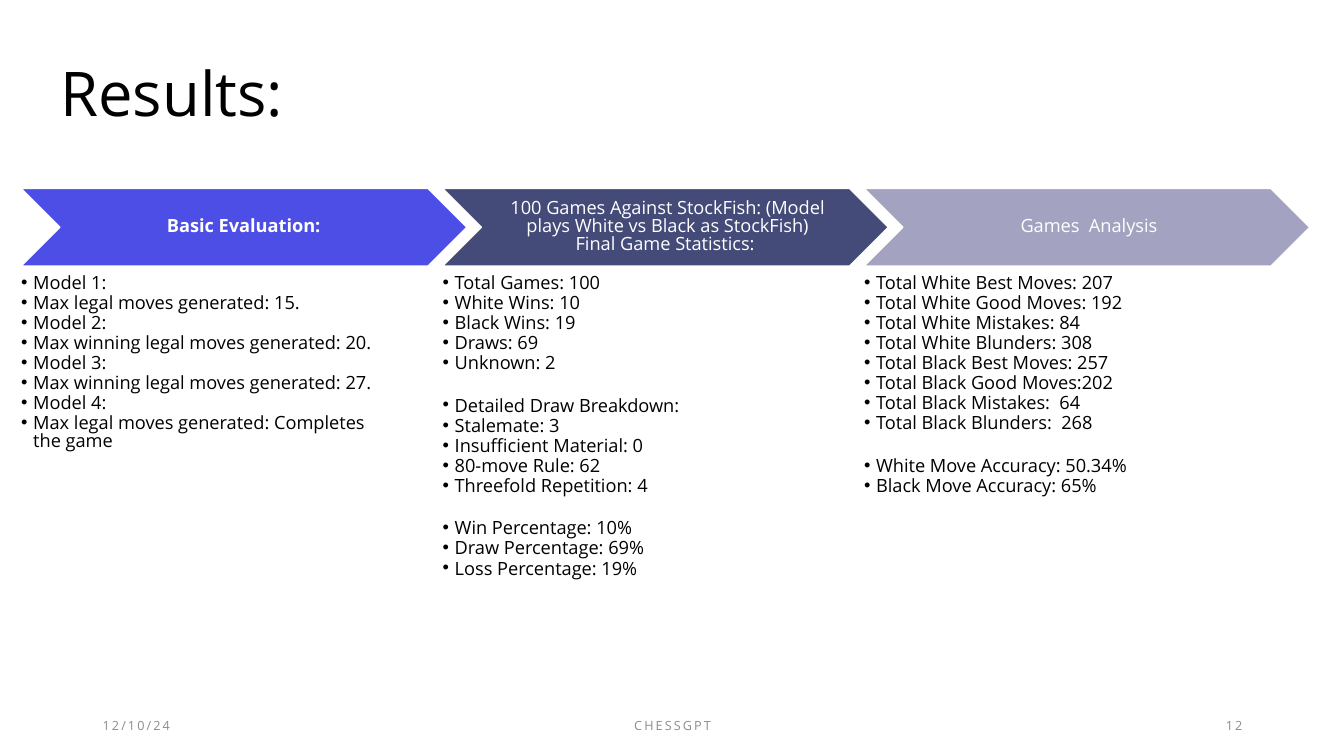
import pptx
import pptx.dml.color
import pptx.enum.shapes
import pptx.enum.text
import pptx.util
from lxml import etree
from pptx.oxml.ns import qn

Inches, Pt = pptx.util.Inches, pptx.util.Pt
ALIGN = pptx.enum.text.PP_ALIGN
ANCHOR = pptx.enum.text.MSO_ANCHOR

# Content: heading lines, bold heading, chevron colour, groups of bullets
COLUMNS = [
    (["Basic Evaluation: "], True, "4D4EE6", [
        ["Model 1:", "Max legal moves generated: 15.",
         "Model 2:", "Max winning legal moves generated: 20.",
         "Model 3:", "Max winning legal moves generated: 27.",
         "Model 4:", "Max legal moves generated: Completes the game"],
    ]),
    (["100 Games Against StockFish: (Model plays White vs Black as StockFish)",
      "Final Game Statistics: "], False, "454B78", [
        ["Total Games: 100", "White Wins: 10", "Black Wins: 19", "Draws: 69",
         "Unknown: 2"],
        ["Detailed Draw Breakdown:", "Stalemate: 3", "Insufficient Material: 0",
         "80-move Rule: 62", "Threefold Repetition: 4"],
        ["Win Percentage: 10%", "Draw Percentage: 69%", "Loss Percentage: 19%"],
    ]),
    (["Games  Analysis"], False, "A3A3C1", [
        ["Total White Best Moves: 207", "Total White Good Moves: 192",
         "Total White Mistakes: 84", "Total White Blunders: 308",
         "Total Black Best Moves: 257", "Total Black Good Moves:202",
         "Total Black Mistakes:  64", "Total Black Blunders:  268"],
        ["White Move Accuracy: 50.34%", "Black Move Accuracy: 65%"],
    ]),
]
FOOTERS = [
    ("12/10/24", 0.92, 3, ALIGN.LEFT),
    ("CHESSGPT", 4.42, 4.5, ALIGN.CENTER),
    ("12", 9.42, 3, ALIGN.RIGHT),
]

# Layout in inches
FIRST_LEFT, COLUMN_STEP = 0.21, 4.18
CHEVRON_TOP, CHEVRON_WIDTH, CHEVRON_HEIGHT = 1.87, 4.42, 0.77
LIST_TOP, LIST_WIDTH, LIST_HEIGHT = 2.73, 3.53, 3.89
TIGHT = 0.81


def color(value):
    return pptx.dml.color.RGBColor.from_string(value)


def add_box(slide, left, top, width, height, anchor=ANCHOR.TOP,
            insets=(0.1, 0.05, 0.1, 0.05)):
    box = slide.shapes.add_textbox(*map(Inches, (left, top, width, height)))
    frame = box.text_frame
    frame.word_wrap = True
    frame.vertical_anchor = anchor
    (frame.margin_left, frame.margin_top,
     frame.margin_right, frame.margin_bottom) = map(Inches, insets)
    return frame


def add_span(para, text, size, ink, bold=False):
    span = para.add_run()
    span.text = text
    span.font.name = "Open Sans"
    span.font.size = Pt(size)
    span.font.bold = bold
    span.font.color.rgb = color(ink)
    return span


def add_bullet(para):
    props = para._p.get_or_add_pPr()
    props.set("marL", str(Inches(0.12)))
    props.set("indent", str(Inches(-0.12)))
    etree.SubElement(props, qn("a:buFont")).set("typeface", "Arial")
    etree.SubElement(props, qn("a:buChar")).set("char", "•")


def add_chevron(slide, left, fill):
    chevron = slide.shapes.add_shape(
        pptx.enum.shapes.MSO_SHAPE.CHEVRON, Inches(left), Inches(CHEVRON_TOP),
        Inches(CHEVRON_WIDTH), Inches(CHEVRON_HEIGHT))
    chevron.shadow.inherit = False
    chevron.fill.solid()
    chevron.fill.fore_color.rgb = color(fill)
    chevron.line.color.rgb = color("FFFFFF")
    chevron.line.width = Pt(1)


def add_heading(slide, left, lines, bold):
    tip = CHEVRON_HEIGHT / 2
    frame = add_box(slide, left + tip, CHEVRON_TOP, CHEVRON_WIDTH - 2 * tip,
                    CHEVRON_HEIGHT, ANCHOR.MIDDLE, (0.06, 0.02, 0.02, 0.02))
    para = frame.paragraphs[0]
    para.alignment = ALIGN.CENTER
    para.line_spacing = TIGHT
    for index, line in enumerate(lines):
        if index:
            para.add_line_break()
        add_span(para, line, 13, "FFFFFF", bold)


def add_list(slide, left, groups):
    frame = add_box(slide, left, LIST_TOP, LIST_WIDTH, LIST_HEIGHT,
                    insets=(0, 0, 0, 0))
    for group_index, group in enumerate(groups):
        for index, item in enumerate(group):
            first = group_index == 0 and index == 0
            para = frame.paragraphs[0] if first else frame.add_paragraph()
            add_bullet(para)
            para.line_spacing = TIGHT
            para.space_after = Pt(1.7)
            if group_index and index == 0:
                para.space_before = Pt(16)
            add_span(para, item, 13, "000000")


def main():
    deck = pptx.Presentation()
    deck.slide_width, deck.slide_height = Inches(13.33), Inches(7.5)
    slide = deck.slides.add_slide(deck.slide_layouts[6])

    # Title
    title = add_box(slide, 0.5, 0.6, 12.29, 1.84).paragraphs[0]
    title.line_spacing = 0.86
    add_span(title, "Results:", 44, "000000")

    # Footer line
    for text, left, width, align in FOOTERS:
        para = add_box(slide, left, 7, width, 0.4, ANCHOR.MIDDLE).paragraphs[0]
        para.alignment = align
        span = add_span(para, text, 9, "8C8C8C")
        span.font._element.set("spc", "150")

    # Result columns
    for index, (lines, bold, fill, groups) in enumerate(COLUMNS):
        left = FIRST_LEFT + index * COLUMN_STEP
        add_chevron(slide, left, fill)
        add_heading(slide, left, lines, bold)
        add_list(slide, left, groups)

    deck.save("out.pptx")


if __name__ == "__main__":
    main()
